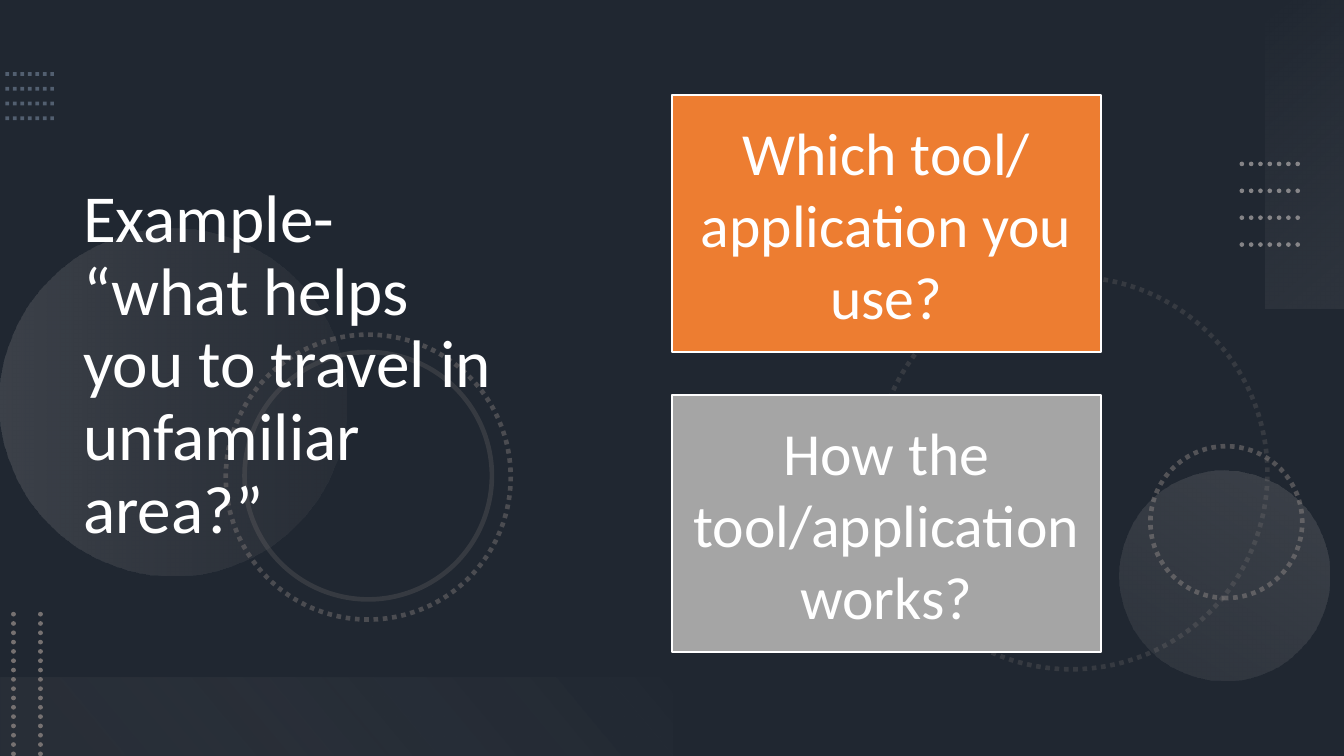
from lxml import etree
from pptx import Presentation
from pptx.dml.color import RGBColor
from pptx.enum import dml, shapes, text
from pptx.oxml import ns
from pptx.util import Inches, Pt

WIDTH = 10
HEIGHT = WIDTH * 9 / 16
SLATE, WHITE, GREY, LIGHT, BLUE = "44546A", "FFFFFF", "767171", "AFABAB", "8497B0"
OVAL, RECT = shapes.MSO_SHAPE.OVAL, shapes.MSO_SHAPE.RECTANGLE


def set_color(target, value, opacity=100):
    """Give a color format its hex value and its opacity in percent."""
    target.rgb = RGBColor.from_string(value)
    if opacity < 100:
        for node in target._xFill.iter(ns.qn("a:srgbClr")):
            etree.SubElement(node, ns.qn("a:alpha"), val=str(opacity * 1000))


def style_line(line, color, width, opacity=100, dotted=False, cap="flat"):
    """Style an outline or a connector."""
    line.fill.solid()
    set_color(line.fill.fore_color, color, opacity)
    line.width = Pt(width)
    if dotted:
        line.dash_style = dml.MSO_LINE.ROUND_DOT
    line._get_or_add_ln().set("cap", cap)


def add_form(slide, kind, left, top, width, height, rotation=0):
    """Add a preset shape with neither fill, outline nor shadow."""
    form = slide.shapes.add_shape(kind, Inches(left), Inches(top), Inches(width), Inches(height))
    form.shadow.inherit = False
    form.rotation = rotation
    form.fill.background()
    form.line.fill.background()
    return form


def fill_solid(form, color, opacity=100):
    """Fill a shape with one color."""
    form.fill.solid()
    set_color(form.fill.fore_color, color, opacity)


def fill_gradient(form, angle, stops):
    """Fill a shape with a two-stop gradient at a clockwise angle."""
    form.fill.gradient()
    form.fill.gradient_angle = 360 - angle
    for stop, (position, color, opacity) in zip(form.fill.gradient_stops, stops):
        stop.position = position
        stop.color.rgb = RGBColor.from_string(color)
        node = stop._gs.find(ns.qn("a:srgbClr"))
        etree.SubElement(node, ns.qn("a:alpha"), val=str(opacity * 1000))


def add_ring(slide, left, top, size, opacity, dotted=True, rotation=75):
    """Add an outlined circle."""
    ring = add_form(slide, OVAL, left, top, size, size, rotation)
    style_line(ring.line, GREY, 2.5, opacity, dotted)


def add_dots(slide, start, end, color, width, opacity, cap="flat"):
    """Add a straight dotted line."""
    dots = slide.shapes.add_connector(shapes.MSO_CONNECTOR.STRAIGHT, *map(Inches, start + end))
    style_line(dots.line, color, width, opacity, True, cap)
    etree.SubElement(dots._element.spPr, ns.qn("a:effectLst"))


def write(frame, lines, size, inset, align, spacing=None):
    """Write one white paragraph, with a line break between lines."""
    frame.word_wrap = True
    frame.vertical_anchor = text.MSO_ANCHOR.MIDDLE
    frame.margin_left = frame.margin_right = Inches(inset)
    frame.margin_top = frame.margin_bottom = Inches(inset)
    paragraph = frame.paragraphs[0]
    paragraph.alignment = align
    paragraph.line_spacing = spacing
    for number, line in enumerate(lines):
        if number:
            paragraph.add_line_break()
        run = paragraph.add_run()
        run.text = line
        run.font.name, run.font.size = "Calibri", Pt(size)
        set_color(run.font.color, WHITE)


def add_decoration(slide):
    """Draw the dotted lines, rings, discs and bands behind the text."""
    for row in range(4):
        y = 0.88 - 0.11 * row
        add_dots(slide, (0.04, y), (0.4, y), BLUE, 2, 50)
    add_ring(slide, 6.51, 2.06, 2.92, 25)
    add_ring(slide, 8.56, 3.32, 1.13, 60, rotation=270)
    left_disc = add_form(slide, OVAL, 0, 1.7, 2.58, 2.58, 270)
    fill_gradient(left_disc, 90, [(0, LIGHT, 20), (1, GREY, 10)])
    right_disc = add_form(slide, OVAL, 8.33, 3.5, 1.56, 1.56, 210)
    fill_gradient(right_disc, 90, [(0, LIGHT, 10), (1, LIGHT, 20)])
    add_ring(slide, 1.68, 2.49, 2.12, 50)
    add_ring(slide, 1.82, 2.62, 1.84, 25, dotted=False)
    side_band = add_form(slide, RECT, 8.56, 0.86, 2.29, 0.58, 270)
    fill_gradient(side_band, 140, [(0, "F5F5F5", 0), (1, LIGHT, 10)])
    for row in range(4):
        y = 1.22 + 0.2 * row
        add_dots(slide, (9.24, y), (9.69, y), LIGHT, 2.5, 70, "rnd")
    bottom_band = add_form(slide, RECT, 0, 5.04, 5, 0.58, 180)
    fill_gradient(bottom_band, 140, [(0.1, GREY, 10), (1, "F1F0F0", 0)])
    for x in (0.3, 0.1):
        add_dots(slide, (x, 4.57), (x, HEIGHT), GREY, 2.5, 100, "rnd")


def add_title(slide, lines):
    """Add the example on the left."""
    title = slide.shapes.add_textbox(Inches(0.52), Inches(0.41), Inches(3.44), Inches(4.63))
    write(title.text_frame, lines, 36, 0.1, text.PP_ALIGN.LEFT, 0.9)


def add_card(slide, top, color, question):
    """Add a colored box with a question."""
    card = add_form(slide, RECT, 5, top, 3.19, 1.91)
    fill_solid(card, color)
    style_line(card.line, WHITE, 1)
    write(card.text_frame, [question], 32, 0.13, text.PP_ALIGN.CENTER)


def main():
    """Build the slide and save it."""
    deck = Presentation()
    deck.slide_width, deck.slide_height = Inches(WIDTH), Inches(HEIGHT)
    slide = deck.slides.add_slide(deck.slide_layouts[6])
    slide.background.fill.solid()
    set_color(slide.background.fill.fore_color, SLATE)
    for color, opacity in ((SLATE, 100), ("000000", 53)):
        fill_solid(add_form(slide, RECT, 0, 0, WIDTH, HEIGHT), color, opacity)
    add_decoration(slide)
    add_title(slide, ["Example- ", "“what helps you to travel in unfamiliar area?”"])
    add_card(slide, 0.71, "ED7D31", "Which tool/ application you use?")
    add_card(slide, 2.94, "A5A5A5", "How the tool/application works?")
    deck.save("out.pptx")


if __name__ == "__main__":
    main()
